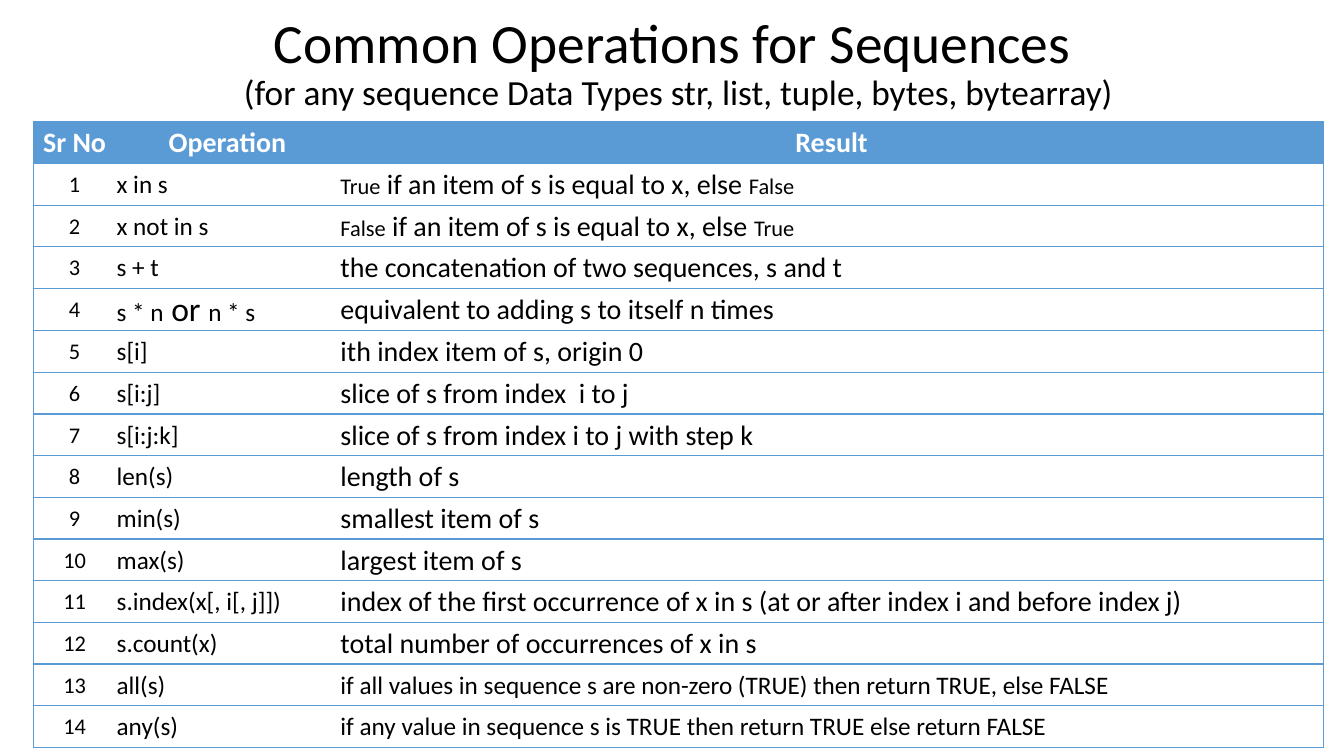
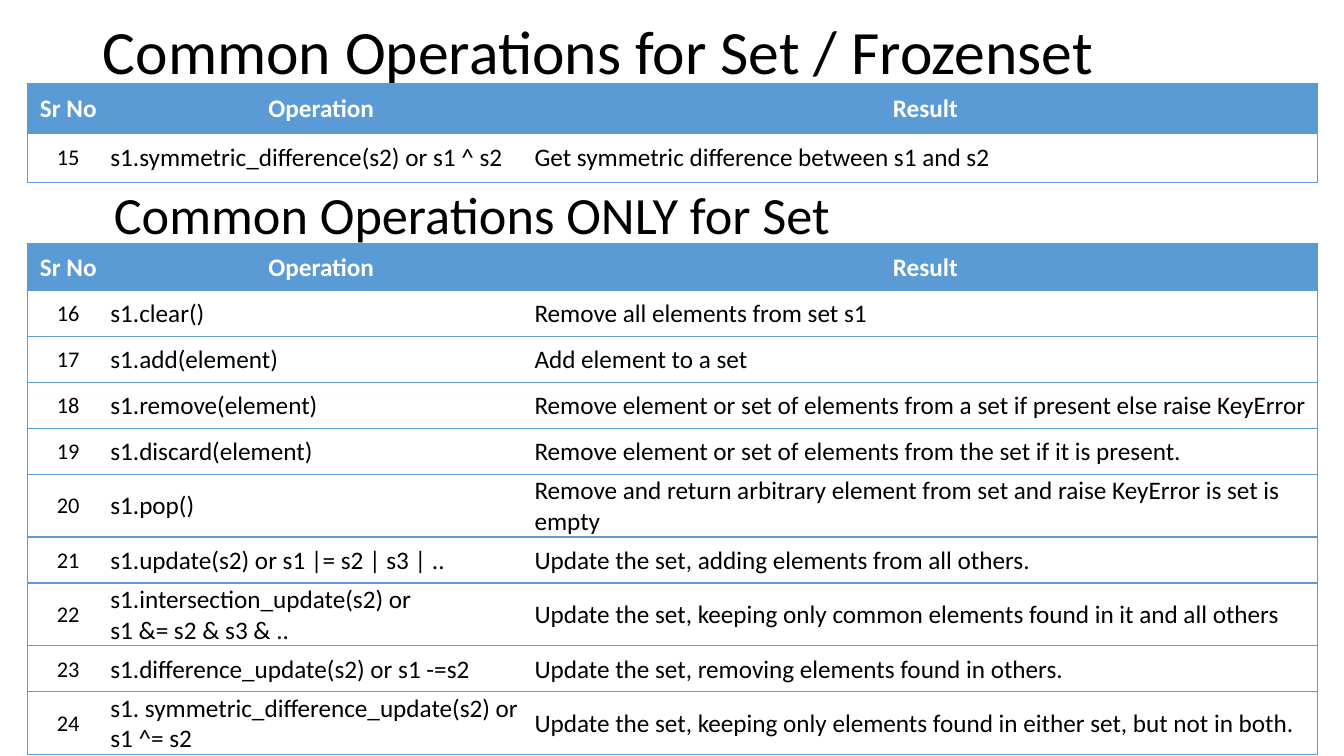
import pptx
import pptx.util
import pptx.dml.color
import pptx.enum.text
import pptx.oxml
import pptx.oxml.ns

Cm = pptx.util.Cm
Pt = pptx.util.Pt
ALIGN = pptx.enum.text.PP_ALIGN
MIDDLE = pptx.enum.text.MSO_ANCHOR.MIDDLE

SEQUENCE_ROWS = [
    ("x in s", [("True", 16), (" if an item of s is equal to x, else ", 20), ("False", 16)]),
    ("x not in s", [("False", 16), (" if an item of s is equal to x, else ", 20), ("True", 16)]),
    ("s + t", "the concatenation of two sequences, s and t"),
    ([("s * n", 18), (" or ", 24), ("n * s", 18)], "equivalent to adding s to itself n times"),
    ("s[i]", "ith index item of s, origin 0"),
    ("s[i:j]", "slice of s from index  i to j"),
    ("s[i:j:k]", "slice of s from index i to j with step k"),
    ("len(s)", "length of s"),
    ("min(s)", "smallest item of s"),
    ("max(s)", "largest item of s"),
    ("s.index(x[, i[, j]])",
     "index of the first occurrence of x in s (at or after index i and before index j)"),
    ("s.count(x)", "total number of occurrences of x in s"),
    ("all(s)",
     [("if all values in sequence s are non-zero (TRUE) then return TRUE, else FALSE", 18)]),
    ("any(s)",
     [("if any value in sequence s is TRUE then return TRUE else return FALSE", 18)]),
]

FROZENSET_ROWS = [
    ("s1.symmetric_difference(s2) or s1 ^ s2", "Get symmetric difference between s1 and s2"),
]

SET_ROWS = [
    ("s1.clear()", "Remove all elements from set s1"),
    ("s1.add(element)", "Add element to a set"),
    ("s1.remove(element)",
     "Remove element or set of elements from a set if present else raise KeyError"),
    ("s1.discard(element)", "Remove element or set of elements from the set if it is present."),
    ("s1.pop()",
     "Remove and return arbitrary element from set and raise KeyError is set is empty"),
    ("s1.update(s2) or s1 |= s2 | s3 | ..", "Update the set, adding elements from all others."),
    ("s1.intersection_update(s2) or\ns1 &= s2 & s3 & ..",
     "Update the set, keeping only common elements found in it and all others"),
    ("s1.difference_update(s2) or s1 -=s2", "Update the set, removing elements found in others."),
    ("s1. symmetric_difference_update(s2) or s1 ^= s2",
     "Update the set, keeping only elements found in either set, but not in both."),
]


def color(value):
    return pptx.dml.color.RGBColor.from_string(value)


class OperationsDeck:
    FONT = "Calibri"
    INK = "000000"
    PAPER = "FFFFFF"
    ACCENT = "5B9BD5"
    HEADER = ("Sr No", "Operation", "Result")
    NUMBER_SIZE = 16
    OPERATION_SIZE = 18

    def __init__(self):
        self.deck = pptx.Presentation()
        self.deck.slide_width = Cm(33.87)
        self.deck.slide_height = Cm(19.05)
        self.page = None

    def add_page(self):
        self.page = self.deck.slides.add_slide(self.deck.slide_layouts[5])

    def style_span(self, span, size, ink=INK, bold=False):
        span.font.name = self.FONT
        span.font.size = Pt(size)
        span.font.bold = bold
        span.font.color.rgb = color(ink)

    def write_heading(self, box, area, text, sizes, align, line_spacing):
        """Place box at area and give each line of text its own size."""
        box.left, box.top, box.width, box.height = [Cm(length) for length in area]
        frame = box.text_frame
        frame.word_wrap = True
        frame.auto_size = pptx.enum.text.MSO_AUTO_SIZE.NONE
        frame.vertical_anchor = MIDDLE
        para = frame.paragraphs[0]
        para.text = text
        para.alignment = align
        para.line_spacing = line_spacing
        for span, size in zip(para.runs, sizes):
            self.style_span(span, size)

    def title(self, area, text, sizes, align=ALIGN.LEFT):
        self.write_heading(self.page.shapes.title, area, text, sizes, align, 0.9)

    def subtitle(self, area, text, size):
        box = self.page.shapes.add_textbox(0, 0, 0, 0)
        self.write_heading(box, area, text, [size], ALIGN.LEFT, 0.7)

    def cell_borders(self, cell, first, last):
        """Rule a cell above and below, and at the table's outer sides."""
        properties = cell._tc.get_or_add_tcPr()
        for side, ruled in (("L", first), ("R", last), ("T", True), ("B", True)):
            line = pptx.oxml.parse_xml(
                f'<a:ln{side} {pptx.oxml.ns.nsdecls("a")} w="{Pt(1)}">'
                + (f'<a:solidFill><a:srgbClr val="{self.ACCENT}"/></a:solidFill>'
                   if ruled else "<a:noFill/>")
                + f"</a:ln{side}>")
            properties.append(line)

    def cell_text(self, cell, content, size, ink, bold, align):
        """Write a string, or a list of (text, size) spans."""
        frame = cell.text_frame
        if isinstance(content, str):
            frame.text = content
            sizes = [size] * len(frame.paragraphs)
        else:
            sizes = [span_size for _, span_size in content]
            for text, _ in content:
                frame.paragraphs[0].add_run().text = text
        for para in frame.paragraphs:
            para.alignment = align
        spans = [span for para in frame.paragraphs for span in para.runs]
        for span, span_size in zip(spans, sizes):
            self.style_span(span, span_size, ink, bold)

    def operations_table(self, left, top, widths, row_height, rows, first_number,
                         header_size, result_size, tall_rows=(), tall_height=0):
        records = [self.HEADER]
        records += [(str(number), *row) for number, row in enumerate(rows, first_number)]
        heights = [tall_height if index in tall_rows else row_height
                   for index in range(len(records))]
        table = self.page.shapes.add_table(
            len(records), len(widths), Cm(left), Cm(top),
            Cm(sum(widths)), Cm(sum(heights))).table
        table.horz_banding = False
        for column, width in zip(table.columns, widths):
            column.width = Cm(width)
        body_sizes = (self.NUMBER_SIZE, self.OPERATION_SIZE, result_size)
        for row_index, record in enumerate(records):
            table.rows[row_index].height = Cm(heights[row_index])
            header = row_index == 0
            for column_index, content in enumerate(record):
                cell = table.cell(row_index, column_index)
                cell.margin_left = cell.margin_right = cell.margin_top = Cm(0.03)
                cell.margin_bottom = 0
                cell.vertical_anchor = MIDDLE
                self.cell_borders(cell, column_index == 0, column_index == len(widths) - 1)
                cell.fill.solid()
                cell.fill.fore_color.rgb = color(self.ACCENT if header else self.PAPER)
                self.cell_text(
                    cell, content,
                    size=header_size if header else body_sizes[column_index],
                    ink=self.PAPER if header else self.INK,
                    bold=header,
                    align=ALIGN.CENTER if header or column_index == 0 else ALIGN.LEFT)


def sequences_page(show):
    show.add_page()
    show.title((2.5, 0.2, 29.2, 2.85),
               "Common Operations for Sequences \n"
               "(for any sequence Data Types str, list, tuple, bytes, bytearray)",
               (39.6, 25.2), ALIGN.CENTER)
    show.operations_table(0.85, 3.07, (2.06, 5.64, 24.81), 1.05, SEQUENCE_ROWS,
                          first_number=1, header_size=20, result_size=20)


def sets_page(show):
    left, widths = 0.69, (2.06, 10.69, 19.76)
    show.add_page()
    show.title((2.34, 0.25, 29.2, 2.24), "Common Operations for Set / Frozenset", [44])
    show.operations_table(left, 2.11, widths, 1.24, FROZENSET_ROWS,
                          first_number=15, header_size=18, result_size=18)
    show.operations_table(left, 6.15, widths, 1.16, SET_ROWS,
                          first_number=16, header_size=18, result_size=18,
                          tall_rows=(5, 7, 9), tall_height=1.58)
    show.subtitle((2.62, 4.88, 29.2, 1.4), "Common Operations ONLY for Set", 37.4)


def main():
    show = OperationsDeck()
    sequences_page(show)
    sets_page(show)
    show.deck.save("out.pptx")


if __name__ == "__main__":
    main()
